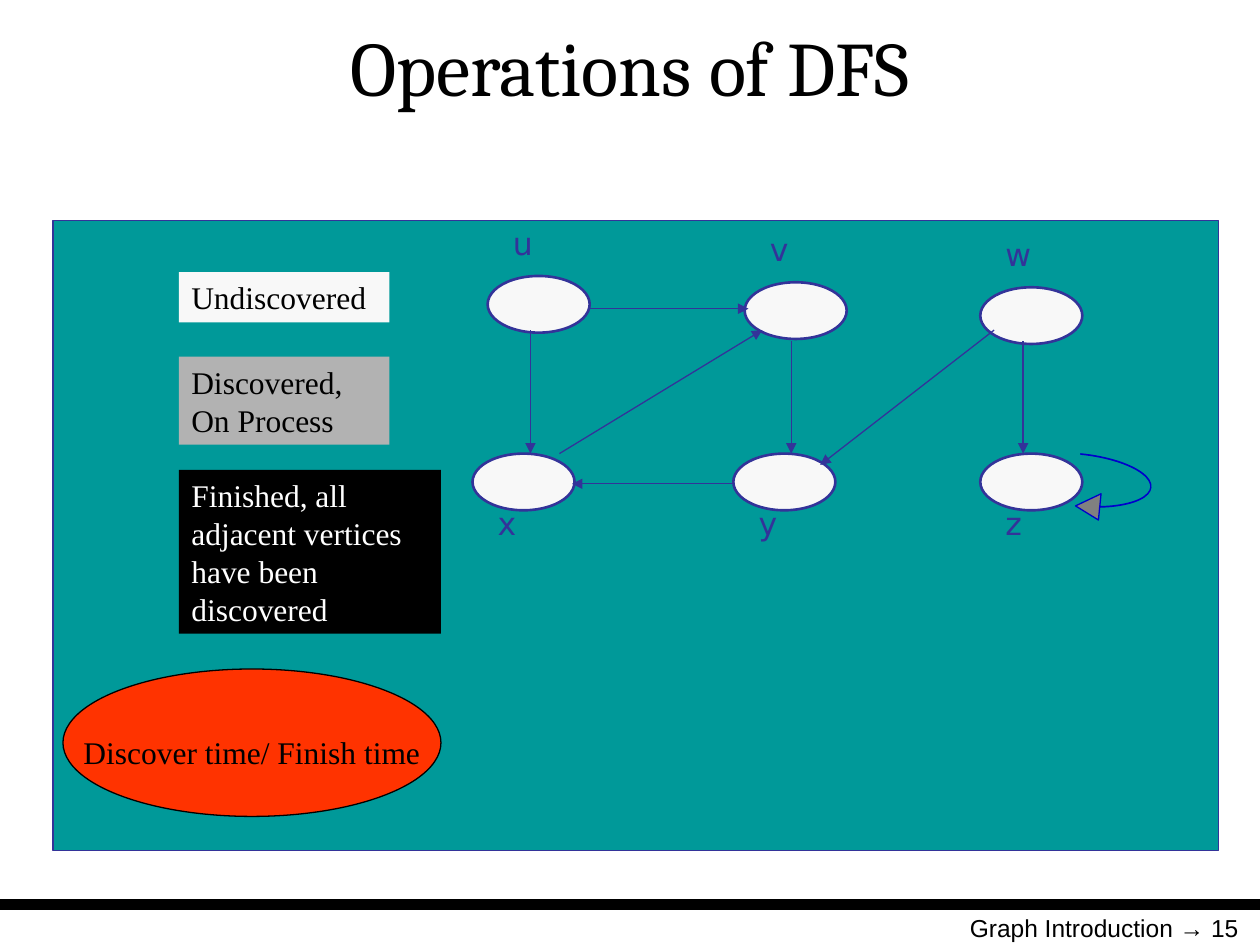
import pptx
import pptx.util
import pptx.dml.color
import pptx.enum.shapes
import pptx.enum.text
import pptx.oxml
import pptx.oxml.ns

Inches = pptx.util.Inches
Pt = pptx.util.Pt
SHAPE = pptx.enum.shapes.MSO_SHAPE
LINK = pptx.enum.shapes.MSO_CONNECTOR
ALIGN = pptx.enum.text.PP_ALIGN
ANCHOR = pptx.enum.text.MSO_ANCHOR

HUES = {
    "black": "000000", "white": "FFFFFF", "teal": "009999", "navy": "333399",
    "blue": "0000CC", "pale": "F8F8F8", "mid": "808080", "gray": "B2B2B2",
    "red": "FF3300",
}

NODE_W, NODE_H = 0.81, 0.45
ROW = 3.6  # top of the lower row of nodes
# name, left, top, label top
NODES = [
    ("x", 3.75, ROW, 3.95), ("z", 7.78, ROW, 3.95), ("y", 5.82, ROW, 3.95),
    ("w", 7.78, 2.28, 1.82), ("v", 5.91, 2.24, 1.78), ("u", 3.87, 2.19, 1.73),
]
EDGES = [
    (4.67, 2.45, 5.94, 2.45), (5.81, 3.84, 4.54, 3.84),
    (6.28, 2.71, 6.28, ROW), (4.21, 2.62, 4.21, ROW),
    (8.12, 2.71, 8.12, ROW), (7.89, 2.62, 6.51, 3.69),
    (4.44, ROW, 6.05, 2.62),
]
# text, top, width, height, fill, font colour
LEGEND = [
    ("Undiscovered", 2.16, 1.67, 0.4, "pale", "black"),
    ("Discovered, On Process", 2.83, 1.67, 0.7, "gray", "black"),
    ("Finished, all adjacent vertices have been discovered",
     3.73, 2.08, 1.3, "black", "white"),
]


def hue(name):
    return pptx.dml.color.RGBColor.from_string(HUES[name])


def write(shape, text, size, face, color="black", align=ALIGN.LEFT,
          anchor=ANCHOR.TOP, wrap=True):
    frame = shape.text_frame
    frame.text = text
    frame.word_wrap = wrap
    frame.vertical_anchor = anchor
    para = frame.paragraphs[0]
    para.alignment = align
    font = para.runs[0].font
    font.size = Pt(size)
    font.name = face
    font.color.rgb = hue(color)
    return frame


def draw(shapes, kind, box, fill, line=None, width=0.75):
    shape = shapes.add_shape(kind, *map(Inches, box))
    shape.shadow.inherit = False
    shape.fill.solid()
    shape.fill.fore_color.rgb = hue(fill)
    if line:
        shape.line.color.rgb = hue(line)
        shape.line.width = Pt(width)
    else:
        shape.line.fill.background()
    return shape


def link(shapes, ends, color, width, arrow=False):
    line = shapes.add_connector(LINK.STRAIGHT, *map(Inches, ends))
    line.line.color.rgb = hue(color)
    line.line.width = Pt(width)
    if arrow:
        tip = pptx.oxml.parse_xml(
            f'<a:tailEnd {pptx.oxml.ns.nsdecls("a")} type="triangle"/>')
        line.line._get_or_add_ln().append(tip)
    line._element.spPr.append(pptx.oxml.parse_xml(
        f'<a:effectLst {pptx.oxml.ns.nsdecls("a")}/>'))


def add_node(shapes, name, left, top, label_top):
    draw(shapes, SHAPE.OVAL, (left, top, NODE_W, NODE_H), "pale", "navy", 1.5)
    label = shapes.add_textbox(*map(Inches, (left + 0.02, label_top, NODE_W, 0.4)))
    frame = write(label, name, 18, "DejaVu Sans", "navy")
    frame.margin_left = Inches(0.18)


def add_graph(slide):
    shapes = slide.shapes.add_group_shape().shapes
    for node in NODES:
        add_node(shapes, *node)
    for ends in EDGES:
        link(shapes, ends, "navy", 0.75, arrow=True)


def add_loop(slide):
    """Draw the arrow from z back to itself."""
    loop = draw(slide.shapes, SHAPE.CURVED_DOWN_ARROW,
                (8.58, ROW, 0.52, 0.58), "mid", "blue")
    loop.rotation = 95.8
    for i, value in enumerate((0.006, 0.402, 0.369)):
        loop.adjustments[i] = value


def add_legend(slide):
    for text, top, width, height, fill, color in LEGEND:
        box = draw(slide.shapes, SHAPE.RECTANGLE, (1.42, top, width, height), fill)
        write(box, text, 18, "Times New Roman", color)
    times = draw(slide.shapes, SHAPE.OVAL, (0.5, 5.31, 3, 1.17), "red", "black")
    frame = write(times, "Discover time/ Finish time", 18, "Times New Roman",
                  align=ALIGN.CENTER, anchor=ANCHOR.MIDDLE, wrap=False)
    frame.margin_top = Inches(0.2)


def add_title(slide):
    title = slide.shapes.title
    title.left, title.top = Inches(0.05), Inches(0.07)
    title.width, title.height = Inches(9.9), Inches(0.9)
    write(title, "Operations of DFS", 44, "Cambria",
          align=ALIGN.CENTER, anchor=ANCHOR.MIDDLE)


def add_footer(slide):
    link(slide.shapes, (0, 7.18, 10, 7.18), "black", 6)
    note = slide.shapes.add_textbox(*map(Inches, (7.18, 7.2, 2.75, 0.52)))
    write(note, "Graph Introduction → 15", 14, "Arial", align=ALIGN.RIGHT)


def main():
    deck = pptx.Presentation()
    deck.slide_width, deck.slide_height = Inches(10), Inches(7.5)
    slide = deck.slides.add_slide(deck.slide_layouts[5])
    add_title(slide)
    add_footer(slide)
    draw(slide.shapes, SHAPE.RECTANGLE, (0.42, 1.75, 9.25, 5), "teal", "navy")
    add_graph(slide)
    add_loop(slide)
    add_legend(slide)
    deck.save("out.pptx")


if __name__ == "__main__":
    main()
